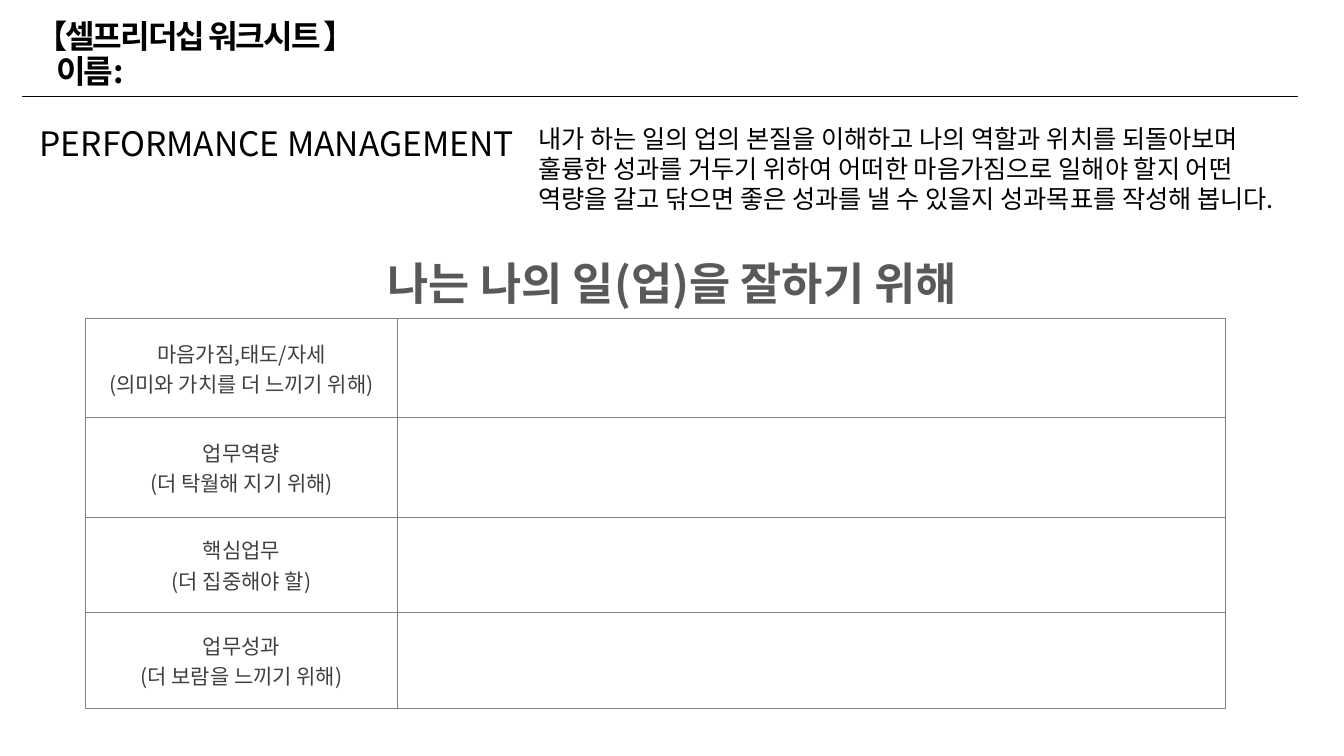
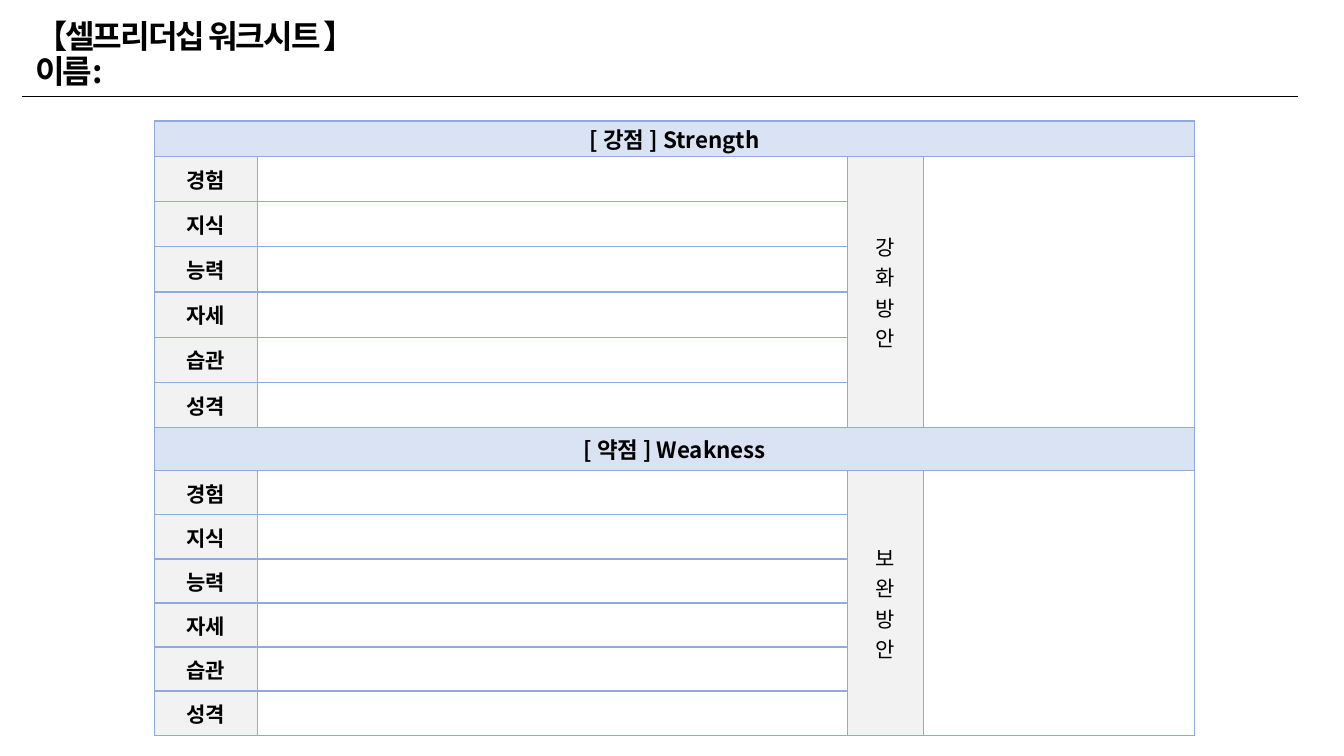
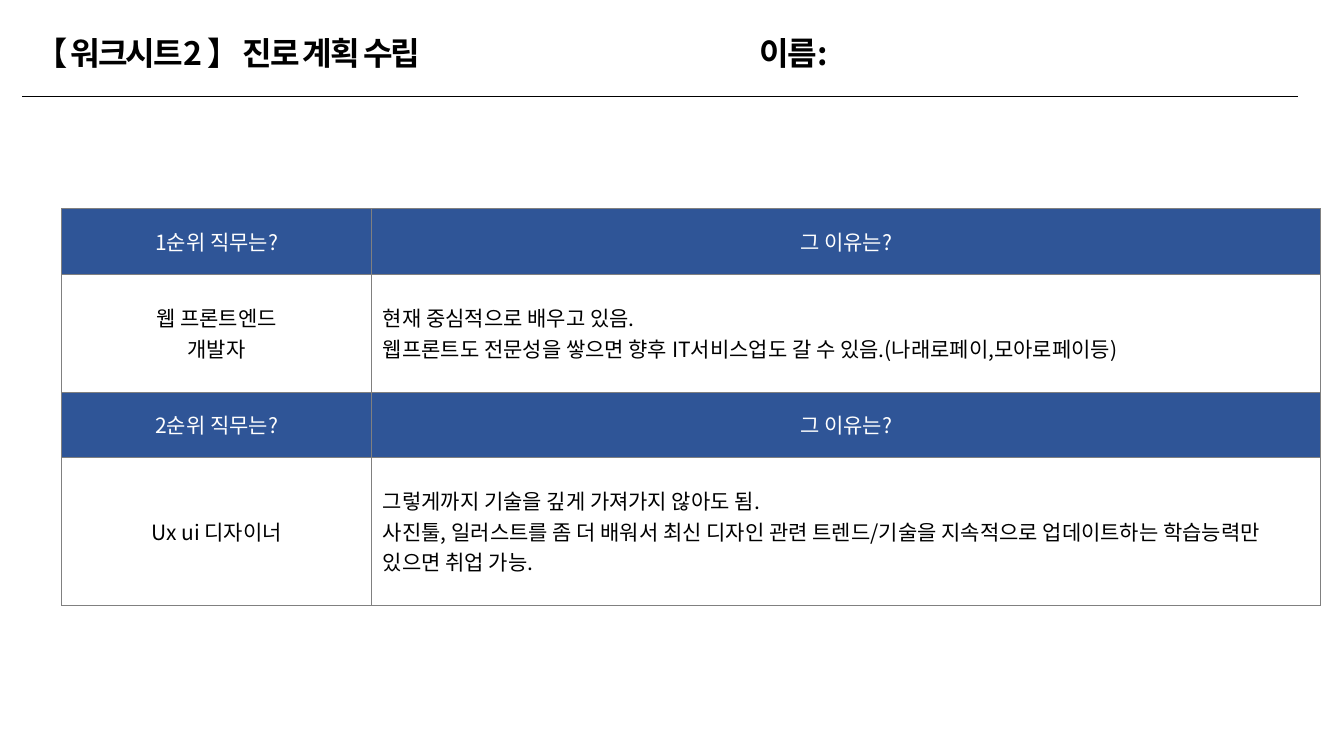
from dataclasses import dataclass

from lxml import etree
from pptx import Presentation
from pptx.dml.color import RGBColor
from pptx.enum.shapes import MSO_CONNECTOR
from pptx.enum.text import MSO_ANCHOR, MSO_AUTO_SIZE, PP_ALIGN
from pptx.oxml.ns import qn
from pptx.util import Cm, Pt

LEFT, CENTER = PP_ALIGN.LEFT, PP_ALIGN.CENTER
TOP, MIDDLE = MSO_ANCHOR.TOP, MSO_ANCHOR.MIDDLE
NO_FIT = MSO_AUTO_SIZE.NONE
STRAIGHT = MSO_CONNECTOR.STRAIGHT
TITLE_ONLY = 5


@dataclass(frozen=True)
class Theme:
    font: str = "Noto Sans CJK KR"
    black: str = "000000"
    white: str = "FFFFFF"
    heading: str = "595959"
    label: str = "404040"
    gray_line: str = "808080"
    blue_line: str = "8FAADC"
    blue_band: str = "DAE3F3"
    gray_band: str = "F2F2F2"
    navy: str = "2F5597"
    title_size: float = 23
    section_size: float = 24
    heading_size: float = 32
    intro_size: float = 18
    band_size: float = 16
    cell_size: float = 15
    title_tracking: int = -150
    title_spacing: float = 0.9


@dataclass(frozen=True)
class Box:
    """A region in centimetres."""
    left: float
    top: float
    width: float
    height: float

    def lengths(self):
        return Cm(self.left), Cm(self.top), Cm(self.width), Cm(self.height)


THEME = Theme()
TITLE_BOX = Box(0.71, 0.38, 29.82, 2.03)
NAME_BOX = Box(18.97, 0.38, 7.57, 2.03)
TITLE_INSETS = (0.18, 0.1)
TEXT_INSETS = (0.25, 0.13)
WIDE_INSETS = (0.28, 0.13)
TIGHT_INSETS = (0.08, 0.03)


def style_paragraphs(frame, size, color=THEME.black, bold=False, align=LEFT):
    for para in frame.paragraphs:
        para.alignment = align
        font = para.font
        font.size = Pt(size)
        font.bold = bold
        font.color.rgb = RGBColor.from_string(color)
        font.name = THEME.font
        east_asian = etree.SubElement(font._element, qn("a:ea"))
        east_asian.set("typeface", THEME.font)


def set_insets(target, insets):
    """Set the margins of a text frame or table cell."""
    target.margin_left = target.margin_right = Cm(insets[0])
    target.margin_top = target.margin_bottom = Cm(insets[1])


def fill_frame(shape, text, insets, anchor):
    frame = shape.text_frame
    frame.word_wrap = True
    frame.auto_size = NO_FIT
    frame.vertical_anchor = anchor
    set_insets(frame, insets)
    frame.text = text
    return frame


def add_text(page, box, text, size, **style):
    shape = page.shapes.add_textbox(*box.lengths())
    frame = fill_frame(shape, text, TEXT_INSETS, TOP)
    style_paragraphs(frame, size, **style)


def format_title(shape, text):
    frame = fill_frame(shape, text, TITLE_INSETS, MIDDLE)
    style_paragraphs(frame, THEME.title_size, bold=True)
    for para in frame.paragraphs:
        para.line_spacing = THEME.title_spacing
        for span in para.runs:
            span.font._element.set("spc", str(THEME.title_tracking))
    return frame


def add_page(deck, title, name_indent=0):
    """Add a slide with its title and rule; name_indent shifts the last title line."""
    page = deck.slides.add_slide(deck.slide_layouts[TITLE_ONLY])
    shape = page.shapes.title
    shape.left, shape.top, shape.width, shape.height = TITLE_BOX.lengths()
    last = format_title(shape, title).paragraphs[-1]
    if name_indent:
        last._p.get_or_add_pPr().set("marL", str(Cm(name_indent)))
    rule = page.shapes.add_connector(STRAIGHT, Cm(0.56), Cm(2.44), Cm(32.72), Cm(2.44))
    rule.line.color.rgb = RGBColor.from_string(THEME.black)
    rule.line.width = Pt(0.5)
    etree.SubElement(rule._element.spPr, qn("a:effectLst"))
    return page


def add_borders(cell, color, width):
    properties = cell._tc.get_or_add_tcPr()
    for side in ("lnL", "lnR", "lnT", "lnB"):
        line = etree.SubElement(properties, qn(f"a:{side}"), w=str(Pt(width)))
        solid = etree.SubElement(line, qn("a:solidFill"))
        etree.SubElement(solid, qn("a:srgbClr"), val=color)


def add_grid(page, box, columns, rows, border, border_width, insets):
    """Add a plain white table with even borders."""
    shape = page.shapes.add_table(len(rows), len(columns), *box.lengths())
    table = shape.table
    table.first_row = table.horz_banding = False
    for column, width in zip(table.columns, columns):
        column.width = Cm(width)
    for row, height in zip(table.rows, rows):
        row.height = Cm(height)
    for cell in table.iter_cells():
        add_borders(cell, border, border_width)
        set_insets(cell, insets)
        cell.vertical_anchor = MIDDLE
        set_fill(cell, THEME.white)
        style_paragraphs(cell.text_frame, THEME.cell_size)
    return table


def set_fill(cell, color):
    cell.fill.solid()
    cell.fill.fore_color.rgb = RGBColor.from_string(color)


def write_cell(cell, text, fill=THEME.white, size=THEME.cell_size, align=CENTER, **style):
    cell.text_frame.clear()
    for para in cell.text_frame.paragraphs:
        para._p.remove_all("a:pPr")
    cell.text = text
    set_fill(cell, fill)
    style_paragraphs(cell.text_frame, size, align=align, **style)


def add_goal_table(page, box):
    labels = (
        "마음가짐,태도/자세\n(의미와 가치를 더 느끼기 위해)",
        "업무역량\n(더 탁월해 지기 위해)",
        "핵심업무\n(더 집중해야 할)",
        "업무성과\n(더 보람을 느끼기 위해)",
    )
    label_width = 7.87
    table = add_grid(page, box, (label_width, box.width - label_width),
                     (2.49, 2.51, 2.41, 2.41), THEME.gray_line, 0.5, WIDE_INSETS)
    for index, label in enumerate(labels):
        write_cell(table.cell(index, 0), label, color=THEME.label)


def add_strength_table(page, box):
    aspects = ("경험", "지식", "능력", "자세", "습관", "성격")
    count = len(aspects)
    sections = (
        ("[ 강점 ] Strength", "강화방안", 0.89, 1.14),
        ("[ 약점 ] Weakness", "보완방안", 1.09, 1.11),
    )
    rows = [height for _, _, band, line in sections for height in [band] + [line] * count]
    table = add_grid(page, box, (2.58, 14.87, 1.92, box.width - 19.37), rows,
                     THEME.blue_line, 1, TIGHT_INSETS)
    for index, (heading, plan, _, _) in enumerate(sections):
        top = index * (count + 1)
        table.cell(top, 0).merge(table.cell(top, 3))
        write_cell(table.cell(top, 0), heading, THEME.blue_band, THEME.band_size, bold=True)
        for row, aspect in enumerate(aspects, top + 1):
            write_cell(table.cell(row, 0), aspect, THEME.gray_band, bold=True)
        for column in (2, 3):
            table.cell(top + 1, column).merge(table.cell(top + count, column))
        write_cell(table.cell(top + 1, 2), "\n".join(plan), THEME.gray_band)


def add_career_table(page, box):
    choices = (
        ("웹 프론트엔드\n개발자",
         "현재 중심적으로 배우고 있음.\n"
         "웹프론트도 전문성을 쌓으면 향후 IT서비스업도 갈 수 있음.(나래로페이,모아로페이등)"),
        ("Ux ui 디자이너",
         "그렇게까지 기술을 깊게 가져가지 않아도 됨.\n"
         "사진툴, 일러스트를 좀 더 배워서 최신 디자인 관련 트렌드/기술을 지속적으로 "
         "업데이트하는 학습능력만 있으면 취업 가능."),
    )
    job_width = 7.82
    table = add_grid(page, box, (job_width, box.width - job_width),
                     (1.64, 2.98, 1.64, 3.73), THEME.gray_line, 0.5, WIDE_INSETS)
    for index, (job, reason) in enumerate(choices):
        top = 2 * index
        for column, question in enumerate((f"{index + 1}순위 직무는?", "그 이유는?")):
            write_cell(table.cell(top, column), question, THEME.navy, color=THEME.white)
        write_cell(table.cell(top + 1, 0), job)
        write_cell(table.cell(top + 1, 1), reason, align=LEFT)


def build_goal_page(deck):
    page = add_page(deck, "【셀프리더십 워크시트 】\n이름:", name_indent=0.53)
    add_text(page, Box(0.75, 2.97, 12.8, 1.27), "PERFORMANCE MANAGEMENT", THEME.section_size)
    add_text(page, Box(13.31, 2.97, 19.08, 2.57),
             "내가 하는 일의 업의 본질을 이해하고 나의 역할과 위치를 되돌아보며 훌륭한 성과를 "
             "거두기 위하여 어떠한 마음가짐으로 일해야 할지 어떤 역량을 갈고 닦으면 좋은 성과를 "
             "낼 수 있을지 성과목표를 작성해 봅니다.", THEME.intro_size)
    add_text(page, Box(1.07, 6.32, 31.75, 1.63), "나는 나의 일(업)을 잘하기 위해",
             THEME.heading_size, color=THEME.heading, bold=True, align=CENTER)
    add_goal_table(page, Box(2.15, 8.03, 28.73, 9.82))


def build_strength_page(deck):
    page = add_page(deck, "【셀프리더십 워크시트 】\n이름:")
    add_strength_table(page, Box(3.9, 3.05, 26.21, 15.48))


def build_career_page(deck):
    page = add_page(deck, "【 워크시트2 】 진로 계획 수립")
    format_title(page.shapes.add_textbox(*NAME_BOX.lengths()), "이름:")
    add_career_table(page, Box(1.55, 5.26, 31.72, 9.99))


def main():
    deck = Presentation()
    deck.slide_width, deck.slide_height = Cm(33.87), Cm(19.05)
    build_goal_page(deck)
    build_strength_page(deck)
    build_career_page(deck)
    deck.save("out.pptx")


if __name__ == "__main__":
    main()
